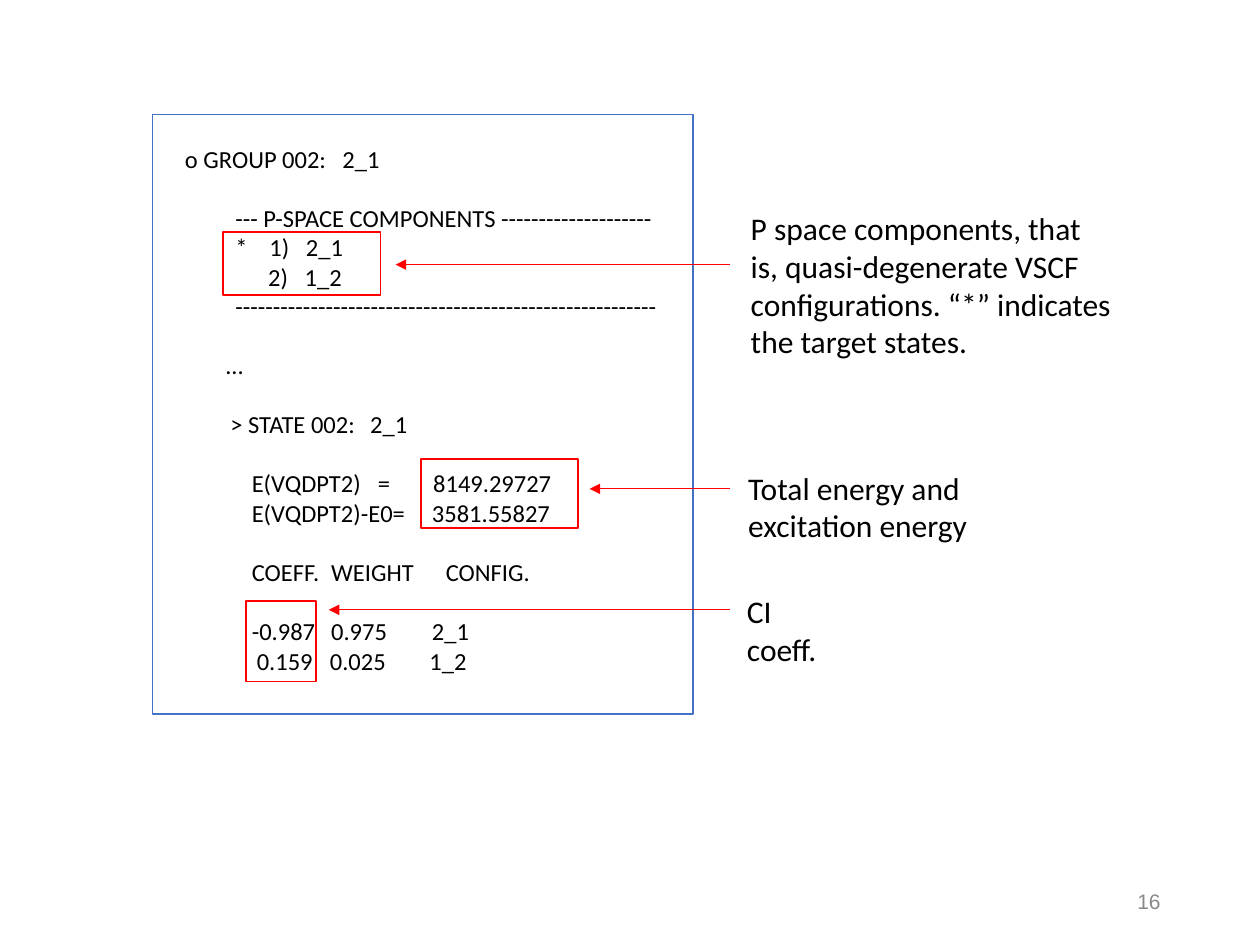
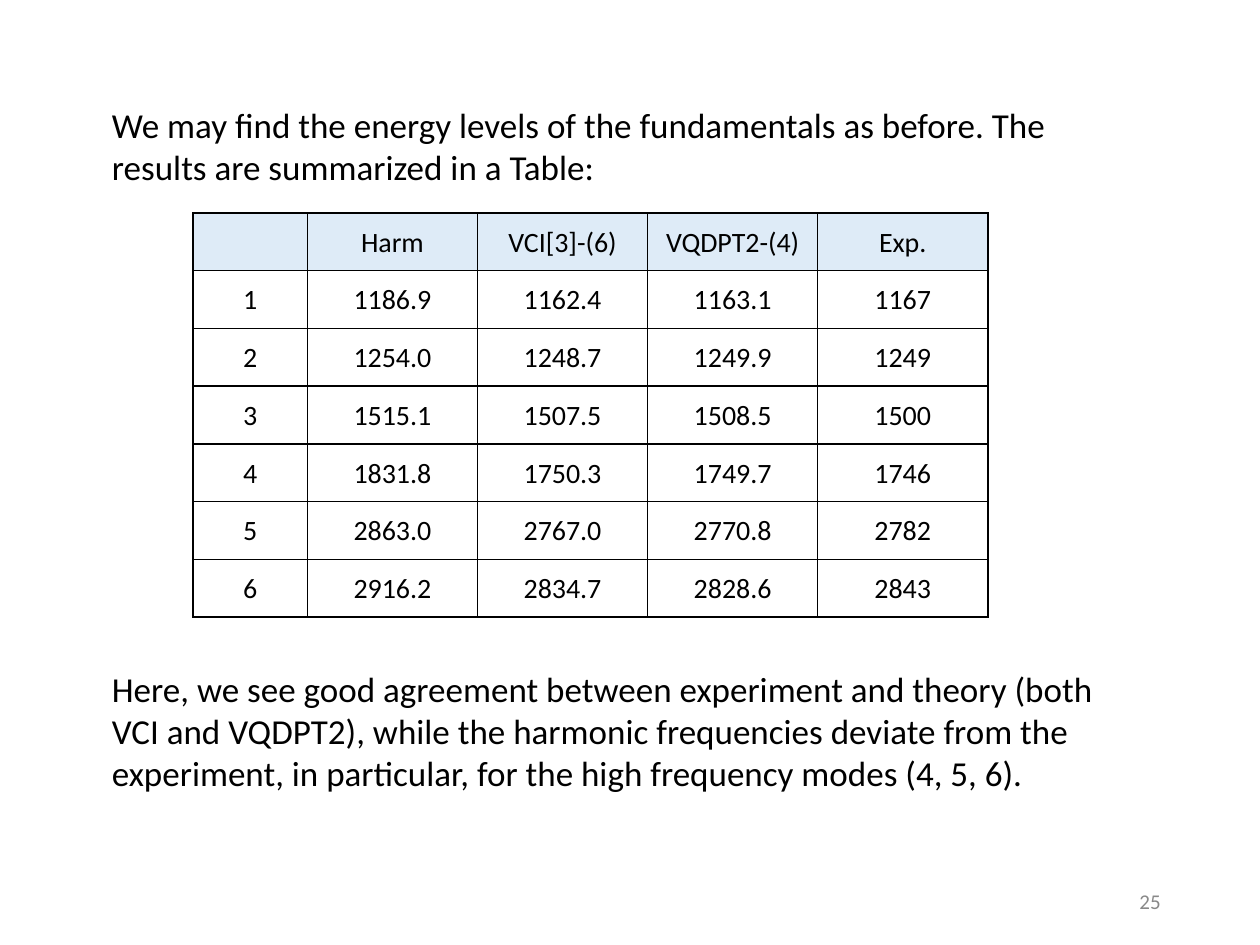
"""Build two slides on VQDPT2 output and the computed energy levels."""
import pptx
import pptx.util
import pptx.dml.color
import pptx.enum.shapes
import pptx.enum.text
import pptx.oxml
import pptx.oxml.ns
import lxml.etree

Inches = pptx.util.Inches
Pt = pptx.util.Pt
ALIGN = pptx.enum.text.PP_ALIGN
MIDDLE = pptx.enum.text.MSO_ANCHOR.MIDDLE
FONT = "Calibri"
COLORS = {"text": "000000", "panel": "4472C4", "mark": "FF0000", "head": "DEEBF7",
          "cell": "FFFFFF", "grid": "000000", "page": "898989"}

# Each line: blank line above, then pairs of tab stop (inches) and text.
LISTING = [
    (False, (0.04, "o GROUP 002:"), (1.29, "2_1")),
    (True, (0.44, "--- P-SPACE COMPONENTS " + "-" * 20)),
    (False, (0.44, "*"), (0.71, "1)"), (1.0, "2_1")),
    (False, (0.7, "2)"), (0.99, "1_2")),
    (False, (0.44, "-" * 56)),
    (True, (0.36, "...")),
    (True, (0.4, "> STATE 002:"), (1.51, "2_1")),
    (True, (0.57, "E(VQDPT2)"), (1.57, "="), (2.01, "8149.29727")),
    (False, (0.57, "E(VQDPT2)-E0="), (2.0, "3581.55827")),
    (True, (0.57, "COEFF."), (1.2, "WEIGHT"), (2.11, "CONFIG.")),
    (True, (0.57, "-0.987"), (1.2, "0.975"), (2.0, "2_1")),
    (False, (0.61, "0.159"), (1.19, "0.025"), (1.98, "1_2")),
]
NOTES = [
    ("P space components, that is, quasi-degenerate VSCF configurations. "
     "“*” indicates the target states.", (5.86, 1.61, 3.08, 1.31)),
    ("Total energy and excitation energy", (5.84, 3.67, 2.66, 0.71)),
    ("CI coeff.", (5.83, 4.65, 0.99, 0.4)),
]
MARKS = [(1.77, 1.84, 1.25, 0.5), (3.34, 3.64, 1.25, 0.55), (1.95, 4.77, 0.56, 0.64)]
ARROWS = [(3.14, 2.1), (4.68, 3.88), (2.61, 4.84)]
LEVELS = [
    ("", "Harm", "VCI[3]-(6)", "VQDPT2-(4)", "Exp."),
    ("1", "1186.9", "1162.4", "1163.1", "1167"),
    ("2", "1254.0", "1248.7", "1249.9", "1249"),
    ("3", "1515.1", "1507.5", "1508.5", "1500"),
    ("4", "1831.8", "1750.3", "1749.7", "1746"),
    ("5", "2863.0", "2767.0", "2770.8", "2782"),
    ("6", "2916.2", "2834.7", "2828.6", "2843"),
]


def color(key):
    """Return the named colour."""
    return pptx.dml.color.RGBColor.from_string(COLORS[key])


def style(para, size, key="text", font=FONT):
    """Format the runs of a paragraph."""
    for run in para.runs:
        run.font.size = Pt(size)
        run.font.name = font
        run.font.color.rgb = color(key)


def add_text(slide, text, place, size, key="text", font=FONT):
    """Add a wrapped text box and return its frame."""
    frame = slide.shapes.add_textbox(*map(Inches, place)).text_frame
    frame.word_wrap = True
    frame.text = text
    style(frame.paragraphs[0], size, key, font)
    return frame


def add_page(slide, number, font):
    """Add the page number at the lower right."""
    frame = add_text(slide, number, (7.06, 6.95, 2.25, 0.4), 12, "page", font)
    frame.vertical_anchor = MIDDLE
    frame.paragraphs[0].alignment = ALIGN.RIGHT


def add_frame(slide, place, key):
    """Add an unfilled rectangle."""
    kind = pptx.enum.shapes.MSO_SHAPE.RECTANGLE
    shape = slide.shapes.add_shape(kind, *map(Inches, place))
    shape.shadow.inherit = False
    shape.fill.background()
    shape.line.color.rgb = color(key)
    shape.line.width = Pt(1)


def add_arrow(slide, tip, level):
    """Add a level arrow from the notes to its tip."""
    kind = pptx.enum.shapes.MSO_CONNECTOR.STRAIGHT
    ends = map(Inches, (5.79, level, tip, level))
    arrow = slide.shapes.add_connector(kind, *ends)
    arrow.line.color.rgb = color("mark")
    arrow.line.width = Pt(0.5)
    qn = pptx.oxml.ns.qn
    props = arrow.element.spPr
    lxml.etree.SubElement(props.find(qn("a:ln")), qn("a:tailEnd"), type="triangle")
    lxml.etree.SubElement(props, qn("a:effectLst"))


def set_tabs(para, stops):
    """Give a paragraph left tab stops in inches."""
    qn = pptx.oxml.ns.qn
    tabs = lxml.etree.SubElement(para._p.get_or_add_pPr(), qn("a:tabLst"))
    for stop in stops:
        lxml.etree.SubElement(tabs, qn("a:tab"), pos=str(Inches(stop)), algn="l")


def add_list(slide, place):
    """Add the program output, aligned by tab stops."""
    frame = add_text(slide, "", place, 14)
    for row, (gap, *parts) in enumerate(LISTING):
        para = frame.add_paragraph() if row else frame.paragraphs[0]
        para.text = "".join("\t" + text for _, text in parts)
        para.space_before = Pt(17 if gap else 0)
        set_tabs(para, [stop for stop, _ in parts])
        style(para, 14)


def set_grid(cell):
    """Draw thin lines on all sides of a cell."""
    props = cell._tc.get_or_add_tcPr()
    for side in ("lnL", "lnR", "lnT", "lnB"):
        props.append(pptx.oxml.parse_xml(
            f'<a:{side} {pptx.oxml.ns.nsdecls("a")} w="{Pt(1)}"><a:solidFill>'
            f'<a:srgbClr val="{COLORS["grid"]}"/></a:solidFill></a:{side}>'))


def add_levels(slide):
    """Add the table of energy levels."""
    size = len(LEVELS), len(LEVELS[0])
    place = map(Inches, (1.53, 1.69, 6.32, 3.21))
    table = slide.shapes.add_table(*size, *place).table
    for col, column in enumerate(table.columns):
        column.width = Inches(1.35 if col else 0.91)
    for row, texts in enumerate(LEVELS):
        for col, text in enumerate(texts):
            cell = table.cell(row, col)
            cell.text = text
            cell.vertical_anchor = MIDDLE
            cell.margin_left = cell.margin_right = cell.margin_top = Inches(0.01)
            cell.margin_bottom = 0
            para = cell.text_frame.paragraphs[0]
            para.alignment = ALIGN.CENTER
            style(para, 16)
            set_grid(cell)
            cell.fill.solid()
            cell.fill.fore_color.rgb = color("cell" if row else "head")


def add_output(slide):
    """Fill the slide that explains the program output."""
    add_page(slide, "16", "Arial")
    add_list(slide, (1.33, 1.09, 4.76, 4.34))
    add_frame(slide, (1.21, 0.91, 4.29, 4.76), "panel")
    for text, place in NOTES:
        add_text(slide, text, place, 18)
    for place in MARKS:
        add_frame(slide, place, "mark")
    for tip, level in ARROWS:
        add_arrow(slide, tip, level)


def add_result(slide):
    """Fill the slide that compares the energy levels."""
    add_page(slide, "25", FONT)
    add_levels(slide)
    add_text(slide, "We may find the energy levels of the fundamentals as before. "
             "The results are summarized in a Table:", (0.79, 0.77, 8.3, 0.77), 20)
    add_text(slide, "Here, we see good agreement between experiment and theory "
             "(both VCI and VQDPT2), while the harmonic frequencies deviate from the "
             "experiment, in particular, for the high frequency modes (4, 5, 6).",
             (0.79, 5.25, 8.3, 1.11), 20)


def main():
    """Build and save the slides."""
    deck = pptx.Presentation()
    deck.slide_width, deck.slide_height = Inches(10), Inches(7.5)
    blank = deck.slide_layouts[6]
    for fill in (add_output, add_result):
        fill(deck.slides.add_slide(blank))
    deck.save("out.pptx")


if __name__ == "__main__":
    main()
